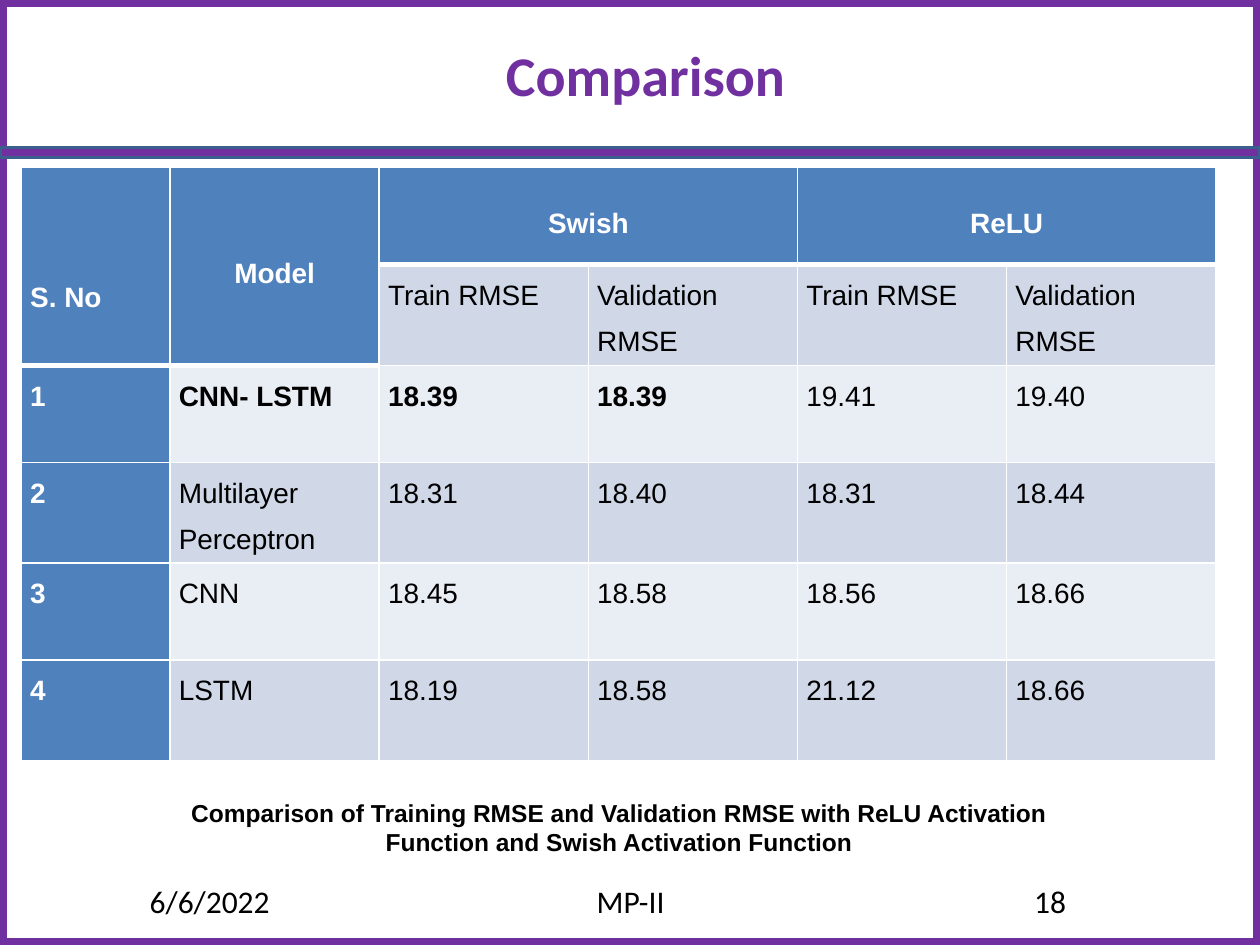
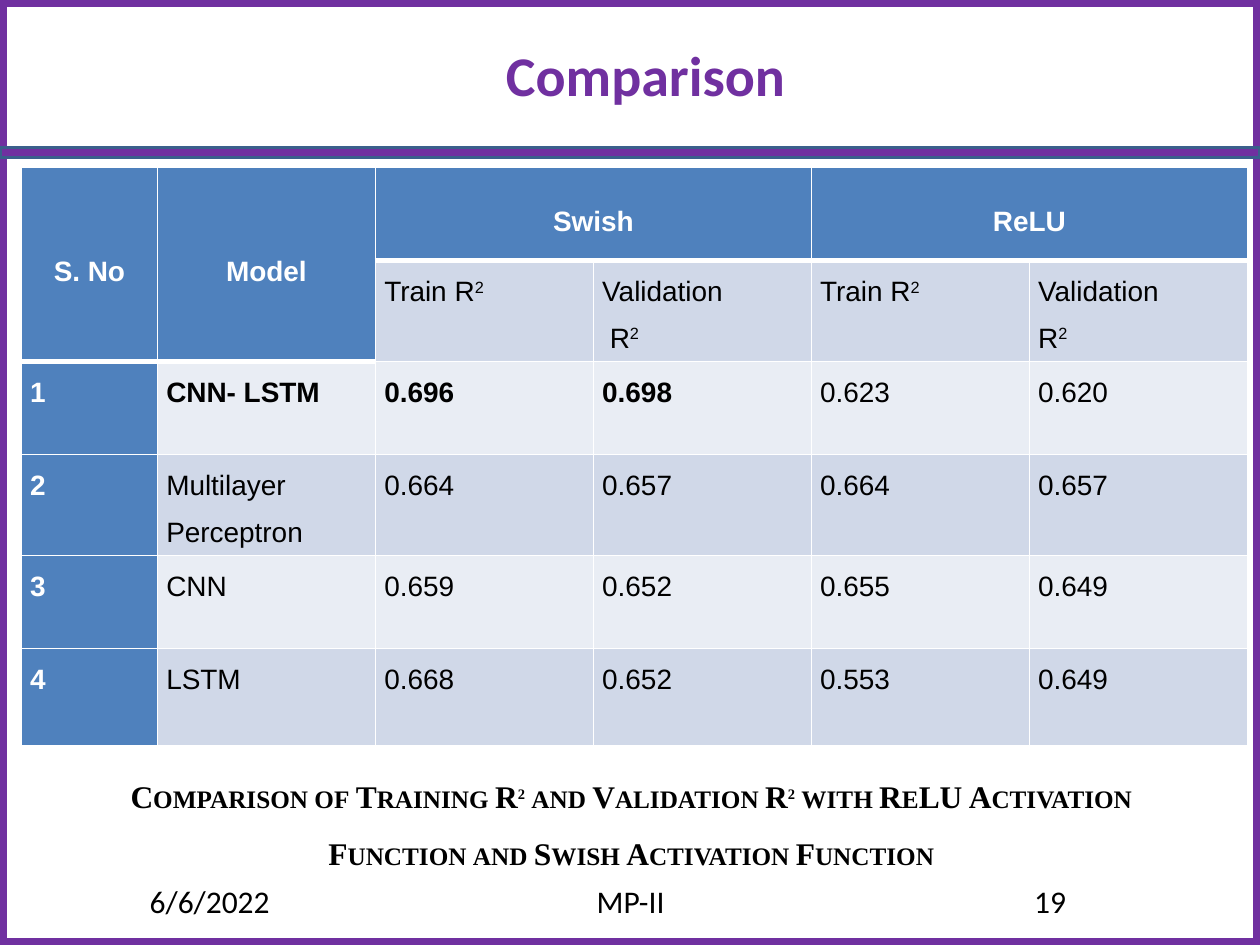
"""Build two slides comparing Swish and ReLU activation results."""
from pptx import Presentation
from pptx.dml.color import RGBColor
from pptx.enum.shapes import MSO_SHAPE
from pptx.enum.text import MSO_ANCHOR, PP_ALIGN
from pptx.oxml import parse_xml
from pptx.oxml.ns import nsdecls
from pptx.util import Inches, Pt

PURPLE = RGBColor(0x70, 0x30, 0xA0)
BAND_EDGE = RGBColor(0x3A, 0x5F, 0x8C)
HEADER_BLUE = RGBColor(0x4F, 0x81, 0xBD)
DARK_STRIPE = RGBColor(0xD0, 0xD8, 0xE8)
LIGHT_STRIPE = RGBColor(0xE9, 0xED, 0xF4)
WHITE = RGBColor(0xFF, 0xFF, 0xFF)
BLACK = RGBColor(0, 0, 0)

WIDTH, HEIGHT = 10, 7.5
TITLE = "Comparison"
TITLE_BOX = (1.5, 0.17, 7.25, 0.83)
DATE, COURSE = "6/6/2022", "MP-II"
FOOTER_SPANS = [(0.5, 2.33), (3.42, 3.17), (7.17, 2.33)]
FOOTER_TOP, FOOTER_HEIGHT = 6.95, 0.4
TABLE_LEFT, TABLE_TOP = 0.17, 1.33
HEADER_ROWS, LABEL_COLUMNS, BOLD_COLUMNS = 2, 2, 4
GROUPS = ["S. No", "Model", "Swish", "", "ReLU", ""]
MODELS = ["CNN- LSTM", "Multilayer Perceptron", "CNN", "LSTM"]

TITLE_FONT = {"name": "Calibri", "size": Pt(32), "bold": True}
FOOTER_FONT = {"name": "Calibri", "size": Pt(18)}
TABLE_FONT = {"name": "Arial", "size": Pt(16)}

SLIDES = [
    {
        "number": "18",
        "measures": ["Train RMSE", "Validation RMSE"] * 2,
        "values": [
            ["18.39", "18.39", "19.41", "19.40"],
            ["18.31", "18.40", "18.31", "18.44"],
            ["18.45", "18.58", "18.56", "18.66"],
            ["18.19", "18.58", "21.12", "18.66"],
        ],
        "columns": (1.18, 1.66),
        "rows": (0.77, 0.8),
        "serial_format": {"alignment": PP_ALIGN.JUSTIFY},
        "serial_top": 0.37,
        "caption": "Comparison of Training RMSE and Validation RMSE with ReLU "
                   "Activation Function and Swish Activation Function",
        "caption_box": (1, 6.28, 7.83, 0.57),
        "caption_font": {"name": "Arial", "size": Pt(14), "bold": True},
        "caption_format": {},
        "caption_anchor": MSO_ANCHOR.MIDDLE,
        "small_caps": False,
        "indents": {},
    },
    {
        "number": "19",
        "measures": ["Train R²", "Validation\nR²"] * 2,
        "values": [
            ["0.696", "0.698", "0.623", "0.620"],
            ["0.664", "0.657", "0.664", "0.657"],
            ["0.659", "0.652", "0.655", "0.649"],
            ["0.668", "0.652", "0.553", "0.649"],
        ],
        "columns": (1.08, 1.73),
        "rows": (0.74, 0.77),
        "serial_format": {"alignment": PP_ALIGN.CENTER},
        "serial_top": 0,
        "caption": "Comparison of Training R² and Validation R² with ReLU "
                   "Activation Function and Swish Activation Function",
        "caption_box": (0.6, 5.97, 8.82, 0.96),
        "caption_font": {"name": "Times New Roman", "size": Pt(18), "bold": True},
        "caption_format": {"line_spacing": 1.5, "space_after": Pt(6)},
        "caption_anchor": MSO_ANCHOR.TOP,
        "small_caps": True,
        "indents": {(1, 3): 0.06},
    },
]


def apply_format(target, values):
    for name, value in values.items():
        setattr(target, name, value)


def add_run(paragraph, text, font, color, **attributes):
    run = paragraph.add_run()
    run.text = text
    apply_format(run.font, font)
    run.font.color.rgb = color
    for name, value in attributes.items():
        run.font._element.set(name, value)


def write_text(frame, text, font, color, layout, **attributes):
    for index, line in enumerate(text.split("\n")):
        paragraph = frame.add_paragraph() if index else frame.paragraphs[0]
        apply_format(paragraph, layout)
        for position, part in enumerate(line.split("²")):
            if position:
                add_run(paragraph, "2", font, color, baseline="30000", **attributes)
            if part:
                add_run(paragraph, part, font, color, **attributes)


def add_text(slide, box, text, font, layout=None, anchor=MSO_ANCHOR.TOP, **attributes):
    frame = slide.shapes.add_textbox(*map(Inches, box)).text_frame
    apply_format(frame, {"word_wrap": True, "vertical_anchor": anchor})
    centred = {"alignment": PP_ALIGN.CENTER, **(layout or {})}
    write_text(frame, text, font, BLACK, centred, **attributes)


def add_rectangle(slide, box, fill, line, width):
    shape = slide.shapes.add_shape(MSO_SHAPE.RECTANGLE, *map(Inches, box))
    shape.shadow.inherit = False
    if fill is None:
        shape.fill.background()
    else:
        shape.fill.solid()
        shape.fill.fore_color.rgb = fill
    shape.line.color.rgb = line
    shape.line.width = Pt(width)


def add_frame(slide, number):
    add_rectangle(slide, (0, 0, WIDTH, HEIGHT), None, PURPLE, 7.5)
    add_rectangle(slide, (0, 1.17, WIDTH, 0.08), PURPLE, BAND_EDGE, 2)
    for text, (left, width) in zip((DATE, COURSE, number), FOOTER_SPANS):
        add_text(slide, (left, FOOTER_TOP, width, FOOTER_HEIGHT), text, FOOTER_FONT)


def format_title(title):
    sides = ("left", "top", "width", "height")
    apply_format(title, dict(zip(sides, map(Inches, TITLE_BOX))))
    title.fill.solid()
    title.fill.fore_color.rgb = WHITE
    title.text_frame.vertical_anchor = MSO_ANCHOR.MIDDLE
    write_text(title.text_frame, TITLE, TITLE_FONT, PURPLE,
               {"alignment": PP_ALIGN.CENTER})


def set_borders(cell, row, column):
    header_end = HEADER_ROWS if column < LABEL_COLUMNS else 1
    widths = {"L": 1, "R": 1, "T": 3 if row == header_end else 1,
              "B": 3 if row < header_end else 1}
    properties = cell._tc.get_or_add_tcPr()
    for index, (side, width) in enumerate(widths.items()):
        properties.insert(index, parse_xml(
            f'<a:ln{side} {nsdecls("a")} w="{Pt(width)}"><a:solidFill>'
            f'<a:srgbClr val="{WHITE}"/></a:solidFill></a:ln{side}>'))


def add_results(slide, content):
    records = [GROUPS, ["", ""] + content["measures"]]
    for index, (model, values) in enumerate(zip(MODELS, content["values"]), 1):
        records.append([str(index), model] + values)
    first, other = content["columns"]
    widths = [first] + [other] * (len(GROUPS) - 1)
    short, tall = content["rows"]
    heights = [tall if row in (1, len(records) - 1) else short
               for row in range(len(records))]
    table = slide.shapes.add_table(
        len(records), len(widths), Inches(TABLE_LEFT), Inches(TABLE_TOP),
        Inches(sum(widths)), Inches(sum(heights))).table
    apply_format(table, {"first_row": False, "horz_banding": False})
    for column, width in zip(table.columns, widths):
        column.width = Inches(width)
    for row, height in zip(table.rows, heights):
        row.height = Inches(height)

    for row, record in enumerate(records):
        for column, text in enumerate(record):
            cell = table.cell(row, column)
            heading = row == 0 or (row == 1 and column < LABEL_COLUMNS)
            blue = heading or column == 0
            bold = blue or (row == HEADER_ROWS and column < BOLD_COLUMNS)
            apply_format(cell, {
                "margin_left": Inches(0.07), "margin_right": Inches(0.07),
                "margin_top": 0, "margin_bottom": 0,
                "vertical_anchor": MSO_ANCHOR.MIDDLE if heading else MSO_ANCHOR.TOP})
            cell.fill.solid()
            stripe = DARK_STRIPE if row % 2 else LIGHT_STRIPE
            cell.fill.fore_color.rgb = HEADER_BLUE if blue else stripe
            set_borders(cell, row, column)
            layout = {"line_spacing": 1.5,
                      "alignment": PP_ALIGN.CENTER if heading else PP_ALIGN.JUSTIFY}
            if (row, column) == (0, 0):
                layout.update(content["serial_format"])
                cell.margin_top = Inches(content["serial_top"])
            if text:
                write_text(cell.text_frame, text, {**TABLE_FONT, "bold": bold},
                           WHITE if blue else BLACK, layout)

    for (row, column), indent in content["indents"].items():
        paragraph = table.cell(row, column).text_frame.paragraphs[-1]
        paragraph._p.get_or_add_pPr().set("marL", str(Inches(indent)))
    for column in range(LABEL_COLUMNS):
        table.cell(0, column).merge(table.cell(HEADER_ROWS - 1, column))
    for column in range(LABEL_COLUMNS, len(GROUPS), 2):
        table.cell(0, column).merge(table.cell(0, column + 1))


def main():
    presentation = Presentation()
    presentation.slide_width = Inches(WIDTH)
    presentation.slide_height = Inches(HEIGHT)
    for content in SLIDES:
        slide = presentation.slides.add_slide(presentation.slide_layouts[5])
        add_frame(slide, content["number"])
        format_title(slide.shapes.title)
        add_results(slide, content)
        capitals = {"cap": "small"} if content["small_caps"] else {}
        add_text(slide, content["caption_box"], content["caption"],
                 content["caption_font"], content["caption_format"],
                 content["caption_anchor"], **capitals)
    presentation.save("out.pptx")


if __name__ == "__main__":
    main()
